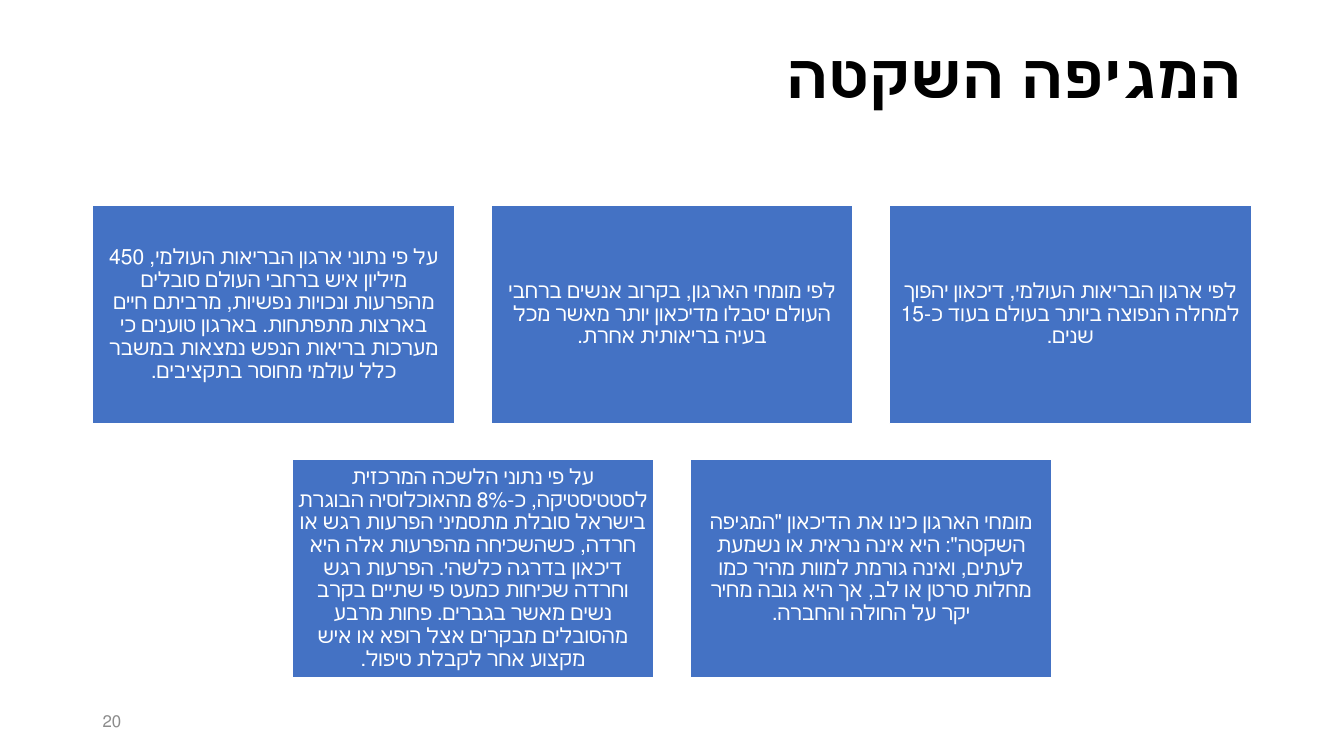
from dataclasses import dataclass

from pptx import Presentation
from pptx.dml.color import RGBColor
from pptx.enum.shapes import MSO_SHAPE
from pptx.enum.text import MSO_ANCHOR as Anchor, MSO_AUTO_SIZE as AutoSize, PP_ALIGN as Align
from pptx.slide import Slide
from pptx.text.text import TextFrame
from pptx.util import Inches, Pt

COLORS = {"title": "000000", "card": "4472C4", "card_text": "FFFFFF", "number": "8C8C8C"}
FONT = "Calibri"
SLIDE_WIDTH, SLIDE_HEIGHT = 13.33, 7.5
CARD_WIDTH, CARD_HEIGHT, GAP = 3.59, 2.16, 0.36
CARDS_TOP = 2.04


@dataclass(frozen=True)
class TextStyle:
    size: float
    color: str
    align: Align
    bold: bool = False
    line_spacing: float = 0.9


TITLE = TextStyle(44, COLORS["title"], Align.RIGHT, bold=True)
CARD = TextStyle(15, COLORS["card_text"], Align.CENTER)
NUMBER = TextStyle(12, COLORS["number"], Align.LEFT, line_spacing=1)

# Rows of cards, each listed in reading order from right to left
CARD_ROWS = [
    [
        "לפי ארגון הבריאות העולמי, דיכאון יהפוך למחלה הנפוצה ביותר בעולם בעוד כ-15 שנים.",
        "לפי מומחי הארגון, בקרוב אנשים ברחבי העולם יסבלו מדיכאון יותר מאשר מכל בעיה "
        "בריאותית אחרת.",
        "על פי נתוני ארגון הבריאות העולמי, 450 מיליון איש ברחבי העולם סובלים מהפרעות "
        "ונכויות נפשיות, מרביתם חיים בארצות מתפתחות. בארגון טוענים כי מערכות בריאות "
        "הנפש נמצאות במשבר כלל עולמי מחוסר בתקציבים.",
    ],
    [
        'מומחי הארגון כינו את הדיכאון "המגיפה השקטה": היא אינה נראית או נשמעת לעתים, '
        "ואינה גורמת למוות מהיר כמו מחלות סרטן או לב, אך היא גובה מחיר יקר על החולה "
        "והחברה.",
        "על פי נתוני הלשכה המרכזית לסטטיסטיקה, כ-8% מהאוכלוסיה הבוגרת בישראל סובלת "
        "מתסמיני הפרעות רגש או חרדה, כשהשכיחה מהפרעות אלה היא דיכאון בדרגה כלשהי. "
        "הפרעות רגש וחרדה שכיחות כמעט פי שתיים בקרב נשים מאשר בגברים. פחות מרבע "
        "מהסובלים מבקרים אצל רופא או איש מקצוע אחר לקבלת טיפול.",
    ],
]


def write_rtl(frame: TextFrame, text: str, style: TextStyle, anchor: Anchor) -> None:
    """Fill the frame with one right-to-left paragraph."""
    frame.word_wrap = True
    frame.auto_size = AutoSize.NONE
    frame.vertical_anchor = anchor
    paragraph = frame.paragraphs[0]
    paragraph.text = text
    paragraph.alignment = style.align
    paragraph.line_spacing = style.line_spacing
    paragraph._p.get_or_add_pPr().set("rtl", "1")
    font = paragraph.font
    font.name, font.size, font.bold = FONT, Pt(style.size), style.bold
    font.color.rgb = RGBColor.from_string(style.color)


def add_title(slide: Slide, text: str) -> None:
    title = slide.shapes.title
    title.left, title.top = Inches(0.92), Inches(0.4)
    title.width, title.height = Inches(11.5), Inches(1.45)
    write_rtl(title.text_frame, text, TITLE, Anchor.TOP)


def add_card(slide: Slide, left: float, top: float, text: str) -> None:
    card = slide.shapes.add_shape(
        MSO_SHAPE.RECTANGLE, Inches(left), Inches(top), Inches(CARD_WIDTH), Inches(CARD_HEIGHT)
    )
    card.shadow.inherit = False
    card.fill.solid()
    card.fill.fore_color.rgb = RGBColor.from_string(COLORS["card"])
    card.line.color.rgb = RGBColor.from_string(COLORS["card_text"])
    card.line.width = Pt(1)
    frame = card.text_frame
    frame.margin_left = frame.margin_right = Inches(0.06)
    frame.margin_top = frame.margin_bottom = Inches(0.06)
    write_rtl(frame, text, CARD, Anchor.MIDDLE)


def add_card_row(slide: Slide, top: float, texts: list[str]) -> None:
    """Centre a row of cards on the slide, the first one at the right."""
    row_width = len(texts) * (CARD_WIDTH + GAP) - GAP
    right_edge = (SLIDE_WIDTH + row_width) / 2
    for column, text in enumerate(texts):
        left = right_edge - CARD_WIDTH - column * (CARD_WIDTH + GAP)
        add_card(slide, left, top, text)


def add_slide_number(slide: Slide, number: str) -> None:
    box = slide.shapes.add_textbox(Inches(0.92), Inches(6.95), Inches(3), Inches(0.4))
    write_rtl(box.text_frame, number, NUMBER, Anchor.MIDDLE)


def main() -> None:
    deck = Presentation()
    deck.slide_width, deck.slide_height = Inches(SLIDE_WIDTH), Inches(SLIDE_HEIGHT)
    slide = deck.slides.add_slide(deck.slide_layouts[5])
    add_title(slide, "המגיפה השקטה")
    for row, texts in enumerate(CARD_ROWS):
        add_card_row(slide, CARDS_TOP + row * (CARD_HEIGHT + GAP), texts)
    add_slide_number(slide, "20")
    deck.save("out.pptx")


if __name__ == "__main__":
    main()
